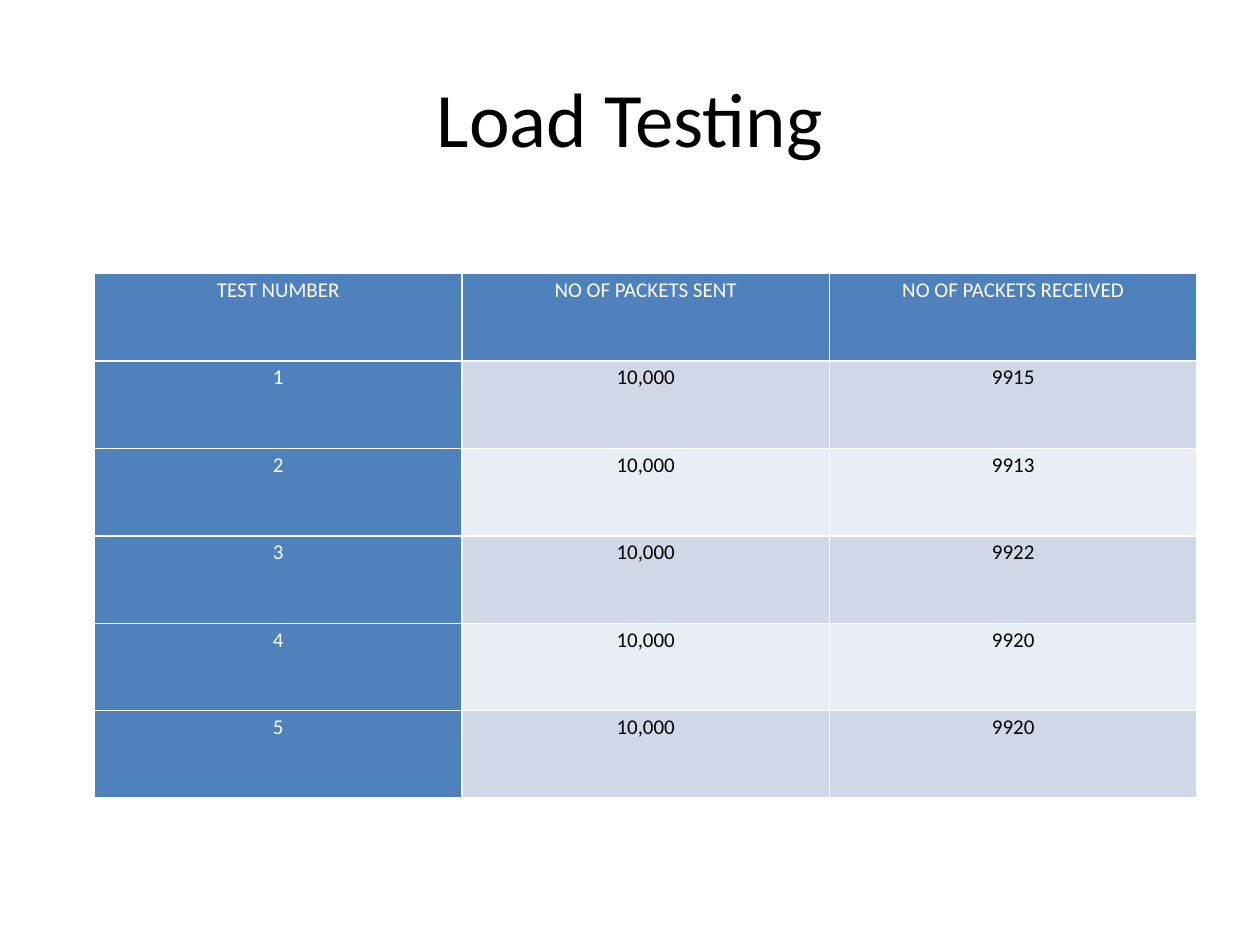
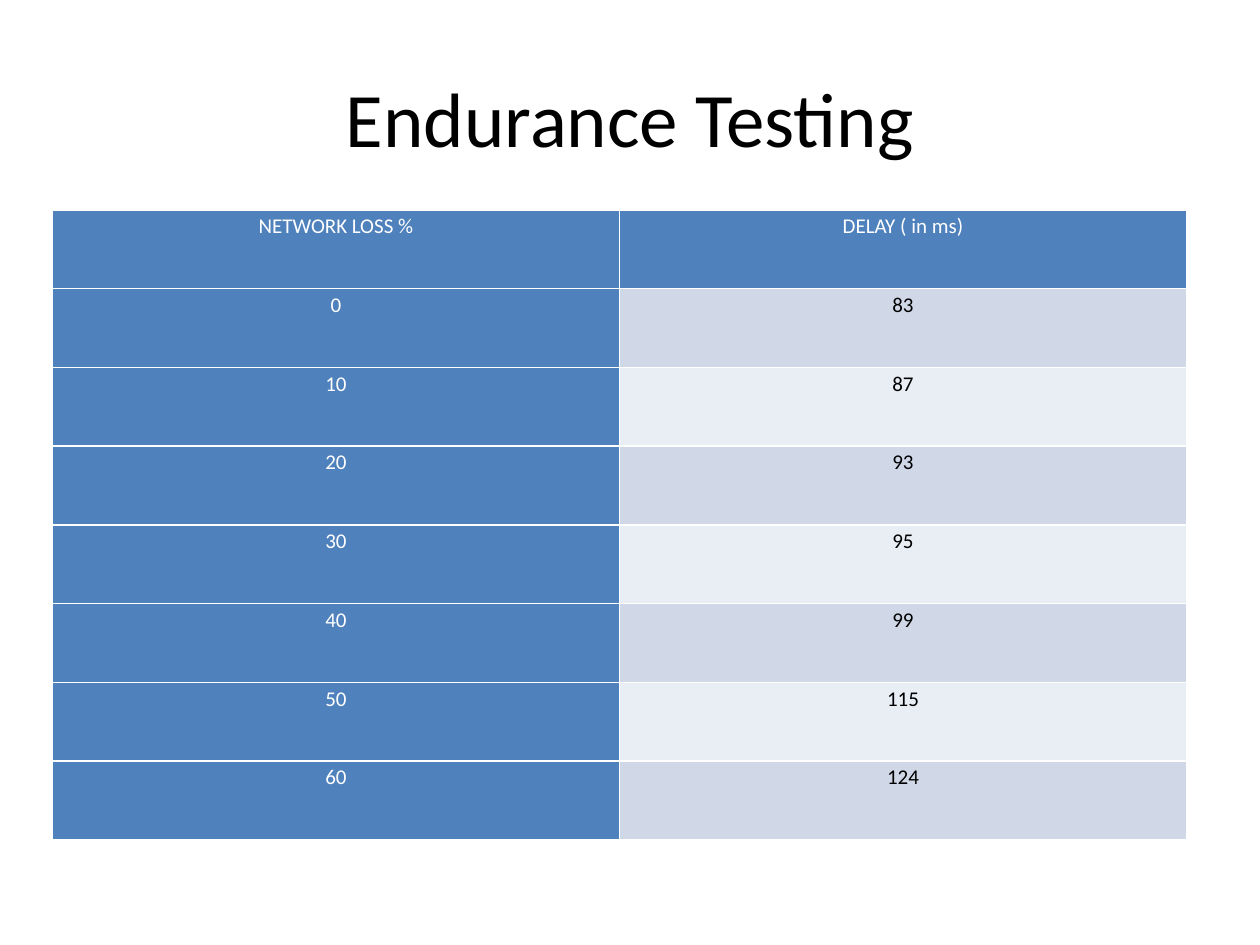
import pptx
import pptx.util
import pptx.dml.color
import pptx.enum.text
import pptx.oxml.ns
import lxml.etree

WIDTH, HEIGHT = 10, 7.5
FONT = "Calibri"
COLORS = {
    "text": "000000",
    "inverse": "FFFFFF",
    "accent": "4F81BD",
    "band_dark": "D0D8E8",
    "band_light": "E9EDF4",
    "border": "FFFFFF",
}
BLANK_LAYOUT = 6

LOAD_ROWS = [
    ("TEST NUMBER", "NO OF PACKETS SENT", "NO OF PACKETS RECEIVED"),
    ("1", "10,000", "9915"),
    ("2", "10,000", "9913"),
    ("3", "10,000", "9922"),
    ("4", "10,000", "9920"),
    ("5", "10,000", "9920"),
]
ENDURANCE_ROWS = [
    ("NETWORK LOSS %", "DELAY ( in ms)"),
    ("0", "83"),
    ("10", "87"),
    ("20", "93"),
    ("30", "95"),
    ("40", "99"),
    ("50", "115"),
    ("60", "124"),
]


def rgb(name):
    return pptx.dml.color.RGBColor.from_string(COLORS[name])


def write_text(tf, text, size=12, color="text", spacing=1.0):
    """Fill a text frame with one centred paragraph."""
    p = tf.paragraphs[0]
    p.alignment = pptx.enum.text.PP_ALIGN.CENTER
    p.line_spacing = spacing
    r = p.add_run()
    r.text = text
    r.font.size = pptx.util.Pt(size)
    r.font.name = FONT
    r.font.color.rgb = rgb(color)


def add_title(slide, text):
    box = [WIDTH * 0.05, HEIGHT * 0.04, WIDTH * 0.9, HEIGHT / 6]
    tf = slide.shapes.add_textbox(*map(pptx.util.Inches, box)).text_frame
    tf.word_wrap = True
    tf.vertical_anchor = pptx.enum.text.MSO_ANCHOR.MIDDLE
    write_text(tf, text, size=44)


def set_borders(cell, points=1):
    """Draw a solid line on all four sides; call before setting the fill."""
    qn = pptx.oxml.ns.qn
    props = cell._tc.get_or_add_tcPr()
    for side in ("a:lnL", "a:lnR", "a:lnT", "a:lnB"):
        line = lxml.etree.SubElement(props, qn(side), w=str(pptx.util.Pt(points)))
        fill = lxml.etree.SubElement(line, qn("a:solidFill"))
        lxml.etree.SubElement(fill, qn("a:srgbClr"), val=COLORS["border"])


def format_cell(cell, text, row, col):
    cell.margin_left = cell.margin_right = pptx.util.Inches(0.07)
    cell.margin_top = cell.margin_bottom = 0
    set_borders(cell)
    # Header row and first column are accented; the body is banded
    heading = row == 0 or col == 0
    band = "band_dark" if row % 2 else "band_light"
    cell.fill.solid()
    cell.fill.fore_color.rgb = rgb("accent" if heading else band)
    write_text(cell.text_frame, text, spacing=1.15,
               color="inverse" if heading else "text")


def add_data_table(slide, rows, left, top, width, height):
    """Add a table of equal rows and columns; lengths in inches."""
    box = map(pptx.util.Inches, (left, top, width, height))
    table = slide.shapes.add_table(len(rows), len(rows[0]), *box).table
    for i, values in enumerate(rows):
        for j, value in enumerate(values):
            format_cell(table.cell(i, j), value, i, j)


def add_table_slide(prs, title, rows, box):
    slide = prs.slides.add_slide(prs.slide_layouts[BLANK_LAYOUT])
    add_title(slide, title)
    add_data_table(slide, rows, *box)


def main():
    prs = pptx.Presentation()
    prs.slide_width = pptx.util.Inches(WIDTH)
    prs.slide_height = pptx.util.Inches(HEIGHT)

    # Packets sent and received
    add_table_slide(prs, "Load Testing", LOAD_ROWS,
                    (WIDTH * 0.075, 2.17, WIDTH * 0.875, HEIGHT * 5 / 9))
    # Delay against network loss
    add_table_slide(prs, "Endurance Testing", ENDURANCE_ROWS,
                    (WIDTH / 24, HEIGHT * 2 / 9, WIDTH * 0.9, HEIGHT * 2 / 3))

    prs.save("out.pptx")


main()
